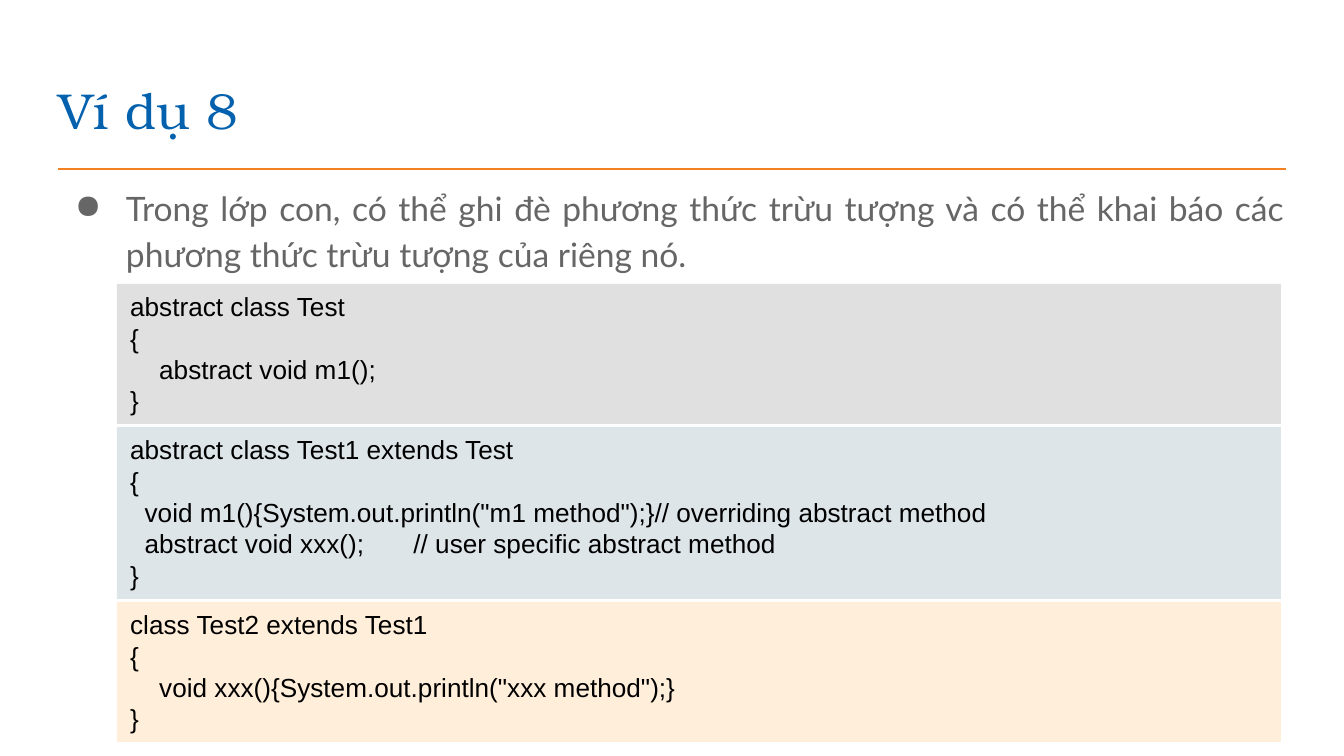
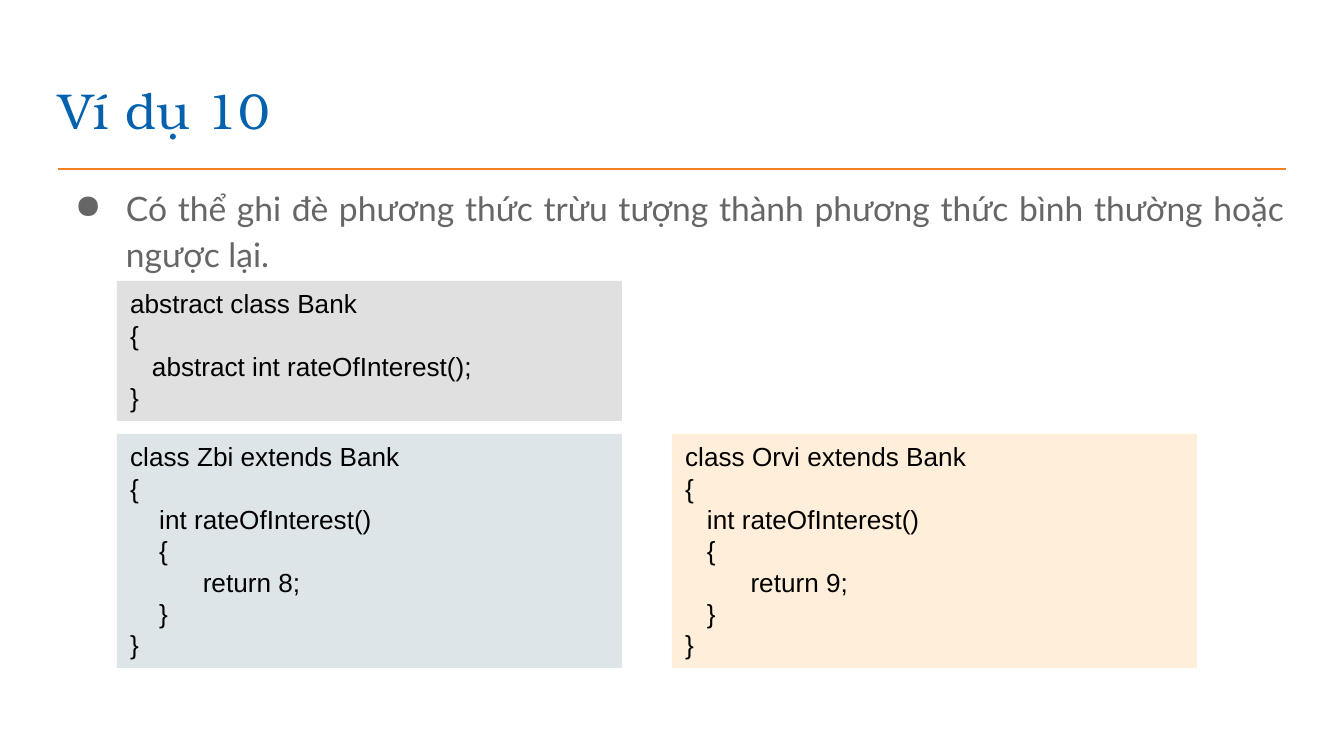
from lxml.etree import SubElement
from pptx import Presentation
from pptx.dml.color import RGBColor
from pptx.enum.shapes import MSO_CONNECTOR as Conn, MSO_SHAPE as Shape
from pptx.enum.text import MSO_ANCHOR as Anchor, MSO_AUTO_SIZE as Auto, PP_ALIGN as Align
from pptx.oxml.ns import qn
from pptx.util import Pt

PX = 9144000 / 1344
WIDE, HIGH = 1344, 756
BLUE, ORANGE, GREY, BLACK = "0361AE", "F48121", "666666", "000000"
FILLS = "E0E0E0", "DEE5E9", "FFEED9"
SPACE = 7.26  # width of one blank in the code font
LINE, PAD = 31.5, 14  # height of a code line, upper plus lower inset
TAB = 305

# Each code line is (blanks of indent, text); each row lists the blocks side by side.
SLIDES = [
    dict(
        title="Ví dụ 8",
        point="Trong lớp con, có thể ghi đè phương thức trừu tượng và có thể "
              "khai báo các phương thức trừu tượng của riêng nó.",
        top=284, gap=3, cols=[(117, 1164)],
        rows=[
            [[(0, "abstract class Test"), (0, "{"),
              (4, "abstract void m1();"), (0, "}")]],
            [[(0, "abstract class Test1 extends Test"), (0, "{"),
              (2, 'void m1(){System.out.println("m1 method");}// overriding abstract method'),
              (2, "abstract void xxx();\t// user specific abstract method"), (0, "}")]],
            [[(0, "class Test2 extends Test1"), (0, "{"),
              (4, 'void xxx(){System.out.println("xxx method");}'), (0, "}")]],
        ],
    ),
    dict(
        title="Ví dụ 10",
        point="Có thể ghi đè phương thức trừu tượng thành phương thức bình "
              "thường hoặc ngược lại.",
        top=281, gap=13, cols=[(117, 505), (672, 525)],
        rows=[
            [[(0, "abstract class Bank"), (0, "{"),
              (3, "abstract int rateOfInterest();"), (0, "}")]],
            [[(0, "class Zbi extends Bank"), (0, "{"), (4, "int rateOfInterest()"),
              (4, "{"), (10, "return 8;"), (4, "}"), (0, "}")],
             [(0, "class Orvi extends Bank"), (0, "{"), (3, "int rateOfInterest()"),
              (3, "{"), (9, "return 9;"), (3, "}"), (0, "}")]],
        ],
    ),
]


def emu(px):
    return round(px * PX)


def rgb(code):
    return RGBColor.from_string(code)


def write(par, text, font, size, color, align=Align.LEFT, left=0, hang=0,
          space=1.0, bullet=None):
    par.alignment, par.line_spacing = align, space
    run = par.add_run()
    run.text = text
    run.font.name, run.font.size = font, Pt(size)
    run.font.color.rgb = rgb(color)
    props = par._p.get_or_add_pPr()
    props.set("marL", str(emu(left)))
    props.set("indent", str(emu(hang)))
    if bullet:
        tint = SubElement(props, qn("a:buClr"))
        SubElement(tint, qn("a:srgbClr"), val=color)
        SubElement(props, qn("a:buChar"), char=bullet)
    if "\t" in text:
        tabs = SubElement(props, qn("a:tabLst"))
        SubElement(tabs, qn("a:tab"), pos=str(emu(TAB)), algn="l")


def label(slide, box, text, **style):
    frame = slide.shapes.add_textbox(*map(emu, box)).text_frame
    frame.word_wrap = True
    frame.margin_left = frame.margin_right = emu(13)
    frame.margin_top = frame.margin_bottom = emu(13)
    write(frame.paragraphs[0], text, **style)


def block(slide, box, fill, lines):
    """Draw a filled rectangle that holds lines of code."""
    rect = slide.shapes.add_shape(Shape.RECTANGLE, *map(emu, box))
    rect.shadow.inherit = False
    rect.fill.solid()
    rect.fill.fore_color.rgb = rgb(fill)
    rect.line.fill.background()
    frame = rect.text_frame
    frame.word_wrap, frame.auto_size = True, Auto.SHAPE_TO_FIT_TEXT
    frame.vertical_anchor = Anchor.TOP
    for i, (blanks, text) in enumerate(lines):
        par = frame.add_paragraph() if i else frame.paragraphs[0]
        write(par, text, "Arial", 14, BLACK, left=blanks * SPACE)


def base(slide, title, point):
    """Add what every slide shares: rule, title and bulleted point."""
    rule = slide.shapes.add_connector(Conn.STRAIGHT, *map(emu, (58, 169, 1286, 169)))
    rule.line.color.rgb, rule.line.width = rgb(ORANGE), Pt(1.5)
    SubElement(rule._element.spPr, qn("a:effectLst"))
    label(slide, (46, 169, 1252, 503), point, font="Lato", size=18, color=GREY,
          align=Align.JUSTIFY, left=67, hang=-51, space=1.15, bullet="●")
    label(slide, (46, 66, 1252, 85), title, font="TeX Gyre Bonum", size=27, color=BLUE)


def build(deck, title, point, top, gap, cols, rows):
    slide = deck.slides.add_slide(deck.slide_layouts[6])
    base(slide, title, point)
    fills = iter(FILLS)
    for row in rows:
        high = round(PAD + LINE * max(map(len, row)))
        for (left, wide), lines in zip(cols, row):
            block(slide, (left, top, wide, high), next(fills), lines)
        top += high + gap


def main():
    deck = Presentation()
    deck.slide_width, deck.slide_height = emu(WIDE), emu(HIGH)
    for page in SLIDES:
        build(deck, **page)
    deck.save("out.pptx")


if __name__ == "__main__":
    main()
